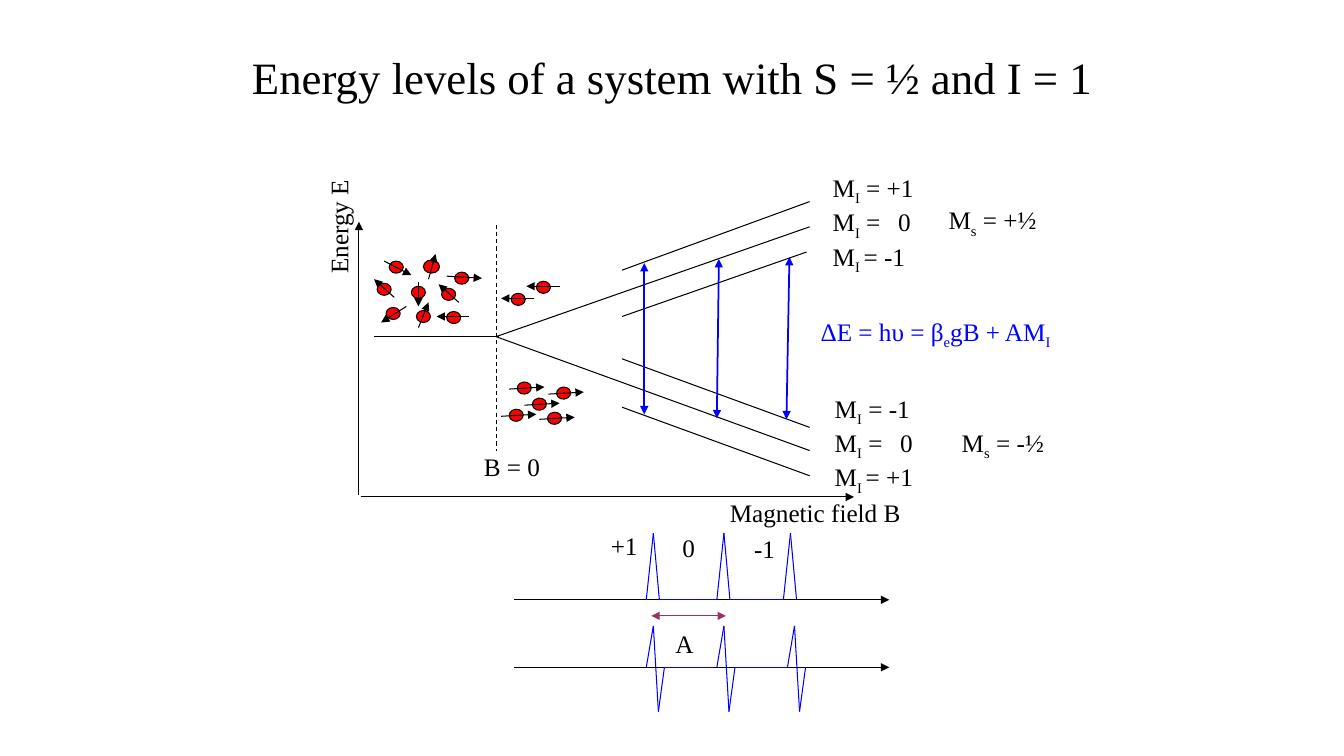
from dataclasses import dataclass
from itertools import pairwise

from lxml import etree
from pptx import Presentation
from pptx.dml.color import RGBColor
from pptx.enum.dml import MSO_LINE
from pptx.enum.shapes import MSO_CONNECTOR, MSO_SHAPE
from pptx.enum.text import MSO_ANCHOR, MSO_AUTO_SIZE, PP_ALIGN
from pptx.oxml.ns import qn
from pptx.slide import Slide
from pptx.text.text import TextFrame
from pptx.util import Emu, Pt

EMU_PER_PX = 9144
STRAIGHT = MSO_CONNECTOR.STRAIGHT
OVAL = MSO_SHAPE.OVAL
DASH = MSO_LINE.DASH
MIDDLE = MSO_ANCHOR.MIDDLE
NO_FIT = MSO_AUTO_SIZE.NONE
LEFT, CENTER = PP_ALIGN.LEFT, PP_ALIGN.CENTER
FONT = "Times New Roman"
COLORS = {"ink": "000000", "signal": "0000FF", "electron": "FF0000", "splitting": "993366"}
SUBSCRIPT = "-25000"
TAB_STOP = 65


@dataclass(frozen=True)
class Stroke:
    x1: int
    y1: int
    x2: int
    y2: int
    color: str = "ink"
    width: float = 0.75
    head: bool = False
    tail: bool = False
    dashed: bool = False


@dataclass(frozen=True)
class Electron:
    left: int
    top: int
    spin: tuple[int, int, int, int]
    turn: int = 0
    width: int = 14
    height: int = 12


@dataclass(frozen=True)
class Span:
    text: str
    lowered: bool = False


@dataclass(frozen=True)
class Label:
    left: int
    top: int
    width: int
    height: int
    lines: list[list[Span]]
    color: str = "ink"
    turn: int = 0


def px(length: int) -> Emu:
    return Emu(length * EMU_PER_PX)


def rgb(name: str) -> RGBColor:
    return RGBColor.from_string(COLORS[name])


def draw_stroke(page: Slide, stroke: Stroke) -> None:
    connector = page.shapes.add_connector(
        STRAIGHT, px(stroke.x1), px(stroke.y1), px(stroke.x2), px(stroke.y2)
    )
    connector.line.color.rgb = rgb(stroke.color)
    connector.line.width = Pt(stroke.width)
    if stroke.dashed:
        connector.line.dash_style = DASH
    properties = connector.element.spPr
    outline = properties.find(qn("a:ln"))
    for tag, wanted in (("a:headEnd", stroke.head), ("a:tailEnd", stroke.tail)):
        if wanted:
            etree.SubElement(outline, qn(tag), type="triangle")
    etree.SubElement(properties, qn("a:effectLst"))


def draw_electron(page: Slide, electron: Electron) -> None:
    ball = page.shapes.add_shape(
        OVAL, px(electron.left), px(electron.top), px(electron.width), px(electron.height)
    )
    ball.rotation = electron.turn
    ball.shadow.inherit = False
    ball.fill.solid()
    ball.fill.fore_color.rgb = rgb("electron")
    ball.line.color.rgb = rgb("ink")
    ball.line.width = Pt(0.75)
    draw_stroke(page, Stroke(*electron.spin, tail=True))


def write_lines(frame: TextFrame, lines: list[list[Span]], size: int, color: str,
                alignment: PP_ALIGN) -> None:
    frame.word_wrap = False
    frame.auto_size = NO_FIT
    frame.vertical_anchor = MIDDLE
    for index, line in enumerate(lines):
        para = frame.add_paragraph() if index else frame.paragraphs[0]
        para.alignment = alignment
        if any("\t" in span.text for span in line):
            tabs = etree.SubElement(para._p.get_or_add_pPr(), qn("a:tabLst"))
            etree.SubElement(tabs, qn("a:tab"), pos=str(px(TAB_STOP)), algn="l")
        for span in line:
            run = para.add_run()
            run.text = span.text
            run.font.name = FONT
            run.font.size = Pt(size)
            run.font.color.rgb = rgb(color)
            if span.lowered:
                run.font._element.set("baseline", SUBSCRIPT)


def draw_label(page: Slide, label: Label) -> None:
    box = page.shapes.add_textbox(
        px(label.left), px(label.top), px(label.width), px(label.height)
    )
    box.rotation = label.turn
    write_lines(box.text_frame, label.lines, 18, label.color, LEFT)


def draw_title(page: Slide, text: str) -> None:
    title = page.shapes.title
    title.left, title.top, title.width, title.height = px(240), px(44), px(854), px(63)
    frame = title.text_frame
    frame.margin_left = frame.margin_right = 0
    write_lines(frame, plain(text), 32, "ink", CENTER)


def plain(text: str) -> list[list[Span]]:
    return [[Span(text)]]


def quantum(index: str, value: str) -> list[Span]:
    return [Span("M"), Span(index, True), Span(value)]


def absorption(apex: int) -> list[Stroke]:
    return [Stroke(apex, 529, apex + dx, 595, "signal") for dx in (-7, 6)]


def derivative(center: int) -> list[Stroke]:
    points = [(center - 7, 662), (center, 621), (center + 5, 706), (center + 11, 662)]
    return [Stroke(*start, *end, "signal") for start, end in pairwise(points)]


AXES = [
    Stroke(356, 491, 356, 220, tail=True),
    Stroke(358, 493, 847, 493, tail=True),
    *(Stroke(510, y, 882, y, tail=True) for y in (595, 662)),
]
SPECTRA = [
    *(side for apex in (648, 718, 784) for side in absorption(apex)),
    *(side for center in (648, 718, 788) for side in derivative(center)),
    *(Stroke(x1, 595, x2, 595, "signal") for x1, x2 in ((654, 711), (724, 777))),
    *(Stroke(x1, 662, x2, 662, "signal", 1) for x1, x2 in ((659, 707), (729, 781))),
    Stroke(646, 611, 720, 611, "splitting", head=True, tail=True),
]
LEVELS = [
    Stroke(371, 334, 495, 334),
    Stroke(492, 334, 803, 225),
    Stroke(492, 334, 803, 447),
    Stroke(617, 314, 800, 250),
    Stroke(617, 268, 803, 200),
    Stroke(617, 356, 803, 424),
    Stroke(617, 404, 803, 472),
    Stroke(492, 223, 492, 447, dashed=True),
]
TRANSITIONS = [
    Stroke(*ends, "signal", 1.25, head=True, tail=True)
    for ends in ((783, 255, 780, 416), (713, 257, 711, 415), (639, 261, 639, 411))
]
RANDOM_ELECTRONS = [
    Electron(451, 270, (443, 274, 478, 276)),
    Electron(383, 305, (403, 304, 378, 320)),
    Electron(386, 259, (381, 259, 408, 273)),
    Electron(438, 286, (455, 300, 435, 282)),
    Electron(420, 258, (425, 277, 432, 252), width=16, height=13),
    Electron(374, 281, (391, 295, 371, 277)),
    Electron(413, 308, (415, 325, 425, 300)),
    Electron(408, 284, (415, 280, 415, 304)),
    Electron(443, 309, (465, 314, 433, 314)),
]
LOWER_ELECTRONS = [
    Electron(x, y, (x - 8, y + 7, x + 27, y + 5), turn=354)
    for x, y in ((513, 379), (543, 409), (528, 395), (552, 384), (505, 406))
]
UPPER_ELECTRONS = [
    Electron(x, y, (x + 23, y + 5, x - 10, y + 5)) for x, y in ((507, 291), (532, 279))
]
ENERGY_GAP = [Span("ΔE = hυ = β"), Span("e", True), Span("gB + AM"), Span("I", True)]
LABELS = [
    Label(470, 443, 76, 40, plain("B = 0")),
    Label(714, 488, 190, 40, plain("Magnetic field B")),
    Label(275, 201, 121, 40, plain("Energy E"), turn=270),
    *(
        Label(left, top, 101, 100,
              [quantum("I", f" = {first}"), quantum("I", " =\t0"), quantum("I ", f"= {last}")])
        for left, top, first, last in ((816, 172, "+1", "-1"), (818, 391, "-1", "+1"))
    ),
    Label(931, 200, 114, 40, [quantum("s", " = +½")]),
    Label(944, 421, 109, 40, [quantum("s", " = -½")]),
    Label(804, 311, 251, 40, [ENERGY_GAP], "signal"),
    Label(660, 618, 38, 40, plain("A")),
    Label(596, 521, 47, 40, plain("+1")),
    Label(667, 523, 33, 40, plain("0")),
    Label(738, 524, 41, 40, plain("-1")),
]


def main() -> None:
    deck = Presentation()
    deck.slide_width, deck.slide_height = px(1333), px(750)
    page = deck.slides.add_slide(deck.slide_layouts[5])
    draw_title(page, "Energy levels of a system with S = ½ and I = 1")
    for stroke in AXES + SPECTRA + LEVELS + TRANSITIONS:
        draw_stroke(page, stroke)
    for electron in RANDOM_ELECTRONS + LOWER_ELECTRONS + UPPER_ELECTRONS:
        draw_electron(page, electron)
    for label in LABELS:
        draw_label(page, label)
    deck.save("out.pptx")


if __name__ == "__main__":
    main()
